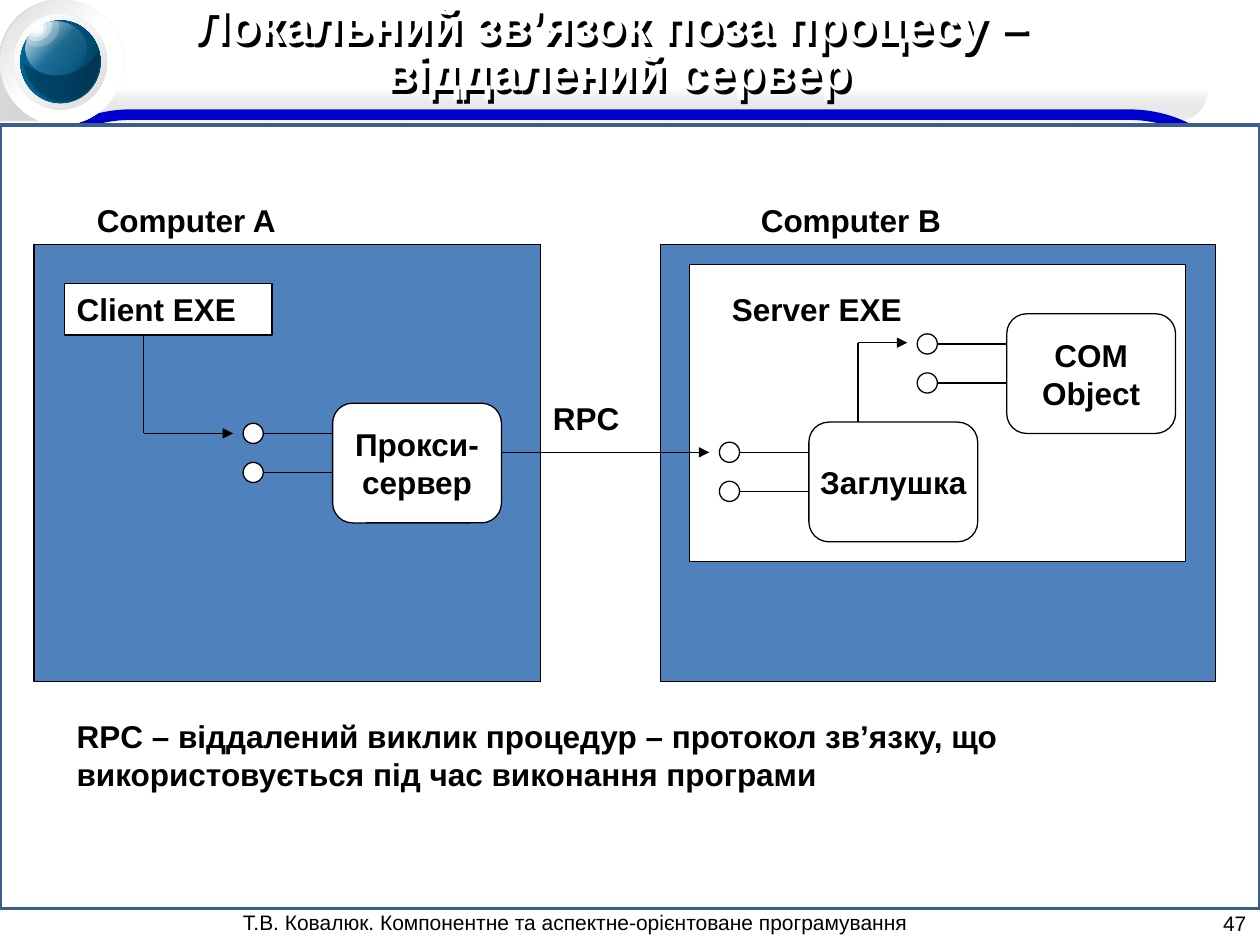
from lxml import etree
from pptx import Presentation
from pptx import util as u
from pptx.dml.color import RGBColor
from pptx.enum import shapes, text
from pptx.oxml import parse_xml
from pptx.oxml.ns import nsdecls, qn

HUE = {"white": "FFFFFF", "black": "000000", "blue": "4F81BD", "rule": "0000CC",
       "frame": "3A5F8C", "pale": "F2F2F2", "light": "D9D9D9", "grey": "B7B7B7",
       "deep": "003C5B", "mid": "005681", "sea": "006699"}
KIND = shapes.MSO_SHAPE
ALIGN = text.PP_ALIGN
MID = text.MSO_ANCHOR.MIDDLE

deck = Presentation()
deck.slide_width, deck.slide_height = u.Inches(10), u.Inches(7.5)
slide = deck.slides.add_slide(deck.slide_layouts[6])
items = slide.shapes


def draw(kind, box, stops=(), ang=0, line=None, width=0.75, adj=(), turn=0):
    """Add a shape; stops are (colour, opacity %), one for a plain fill."""
    item = items.add_shape(kind, *[u.Inches(v) for v in box])
    item.shadow.inherit = False
    item.rotation = turn
    for i, val in enumerate(adj):
        item.adjustments[i] = val
    item.fill.background()
    if stops:
        tints = [f'<a:srgbClr val="{HUE[c]}"><a:alpha val="{a * 1000}"/></a:srgbClr>'
                 for c, a in stops]
        if len(tints) == 1:
            xml = f'<a:solidFill {nsdecls("a")}>{tints[0]}</a:solidFill>'
        else:
            marks = "".join(f'<a:gs pos="{i * 50000}">{t}</a:gs>'
                            for i, t in enumerate(tints))
            xml = (f'<a:gradFill {nsdecls("a")} rotWithShape="1"><a:gsLst>{marks}'
                   f'</a:gsLst><a:lin ang="{ang * 60000}" scaled="0"/></a:gradFill>')
        props = item.element.spPr
        props.replace(props.find(qn("a:noFill")), parse_xml(xml))
    if line:
        item.line.color.rgb = RGBColor.from_string(HUE[line])
        item.line.width = u.Pt(width)
    else:
        item.line.fill.background()
    return item


def write(words, box=None, host=None, size=18, bold=True, tint="black",
          align=ALIGN.LEFT, anchor=text.MSO_ANCHOR.TOP, wrap=True, space=None):
    """Put text in a host shape or a new text box, one paragraph per line."""
    host = host or items.add_textbox(*[u.Inches(v) for v in box])
    frame = host.text_frame
    frame.word_wrap = wrap
    frame.vertical_anchor = anchor
    for i, part in enumerate(words.split("\n")):
        para = frame.add_paragraph() if i else frame.paragraphs[0]
        para.alignment = align
        para.line_spacing = space
        run = para.add_run()
        run.text = part
        run.font.size, run.font.bold, run.font.name = u.Pt(size), bold, "Arial"
        run.font.color.rgb = RGBColor.from_string(HUE[tint])
    return host


# Header bands and page frame
white = [("white", 100)]
draw(KIND.ROUND_2_DIAG_RECTANGLE, (0, 0.44, 9.58, 0.52),
     [("white", 0), ("grey", 0), ("pale", 100)], 90, adj=(0.5, 0))
draw(KIND.ROUND_2_DIAG_RECTANGLE, (0, 0, 1.27, 0.96),
     [("light", 100), ("grey", 0), ("light", 0)], adj=(0.5, 0))
draw(KIND.ROUNDED_RECTANGLE, (0, 0.91, 10, 6.22), line="rule", width=6)

# Glass ball
draw(KIND.CHORD, (0.06, 0.03, 0.91, 0.92),
     [("deep", 100), ("mid", 100), ("sea", 100)], 180, adj=(71.318, 44.49))
draw(KIND.DONUT, (0, 0, 0.98, 0.99),
     [("light", 100), ("white", 100), ("white", 100)], 45, adj=(0.14,))
draw(KIND.OVAL, (0.2, 0.17, 0.49, 0.43),
     [("white", 100), ("white", 12), ("white", 0)], 45)
draw(KIND.DONUT, (0.11, 0.11, 0.74, 0.76),
     [("light", 100), ("pale", 100), ("white", 100)], 225, adj=(0.06,))
for box, alpha, turn in [((0.19, 0.14, 0.29, 0.22), 20, 326.2),
                         ((0.21, 0.16, 0.22, 0.15), 39, 317.3),
                         ((0.25, 0.18, 0.1, 0.09), 81, 317.3),
                         ((0.23, 0.17, 0.15, 0.12), 39, 317.3)]:
    draw(KIND.OVAL, box, [("white", alpha)], turn=turn)
draw(KIND.MOON, (0.33, 0.32, 0.36, 0.61), [("black", 25)], adj=(0.59,), turn=261.4)

# Page body, footer and title with its hard shadow
draw(KIND.RECTANGLE, (0, 0.99, 10, 6.22), white, line="frame", width=2)
write("Т.В. Ковалюк. Компонентне та аспектне-орієнтоване програмування",
      (1.83, 7.17, 5.62, 0.3), size=12, bold=False, wrap=False)
write("47", (9.24, 7.18, 0.75, 0.29), size=12, bold=False,
      align=ALIGN.RIGHT, anchor=MID)
title = write("Локальний зв’язок поза процесу – \nвіддалений сервер",
              (0, 0, 9.81, 0.85), size=28, tint="white",
              align=ALIGN.CENTER, space=0.8)
title.element.spPr.append(parse_xml(
    f'<a:effectLst {nsdecls("a")}><a:outerShdw dist="36000" dir="2700000" '
    f'algn="ctr" rotWithShape="0"><a:srgbClr val="{HUE["black"]}"/>'
    '</a:outerShdw></a:effectLst>'))

# Computers and processes
for box in [(0.27, 1.94, 4.02, 3.47), (5.24, 1.94, 4.41, 3.47)]:
    draw(KIND.RECTANGLE, box, [("blue", 100)], line="black")
write("Computer A", (0.67, 1.55, 3.07, 0.4))
write("Computer В", (5.94, 1.55, 3.07, 0.4))
client = draw(KIND.RECTANGLE, (0.51, 2.25, 1.65, 0.41), white, line="black")
write("Client EXE", host=client)
draw(KIND.RECTANGLE, (5.47, 2.1, 3.94, 2.36), white, line="black")
write("Server EXE", (5.71, 2.25, 1.55, 0.4), wrap=False)

# Objects, each with two interface pins on its left
wires = []
for label, x, y in [("Прокси-\nсервер", 2.64, 3.2), ("Заглушка", 6.42, 3.35),
                    ("COM\nObject", 7.99, 2.49)]:
    body = draw(KIND.ROUNDED_RECTANGLE, (x, y, 1.34, 0.95), white, line="black")
    write(label, host=body, align=ALIGN.CENTER, anchor=MID, wrap=False)
    for drop in (0.24, 0.55):
        draw(KIND.OVAL, (x - 0.71, y + drop - 0.08, 0.16, 0.16), white, line="black")
        wires.append((x - 0.55, y + drop, x, y + drop, False))

# Wires and call arrows
wires += [(1.14, 2.65, 1.14, 3.44, False), (1.14, 3.44, 1.85, 3.44, True),
          (6.81, 3.35, 6.81, 2.72, False), (6.81, 2.72, 7.2, 2.72, True),
          (3.98, 3.59, 5.63, 3.59, True)]
for *ends, arrow in wires:
    wire = items.add_connector(shapes.MSO_CONNECTOR.STRAIGHT,
                               *[u.Inches(v) for v in ends])
    wire.line.color.rgb = RGBColor.from_string(HUE["black"])
    wire.line.width = u.Pt(0.75)
    if arrow:
        etree.SubElement(wire.line._get_or_add_ln(), qn("a:tailEnd"), type="triangle")
    etree.SubElement(wire.element.spPr, qn("a:effectLst"))

# Notes on the call
write("RPC", (4.29, 3.12, 0.73, 0.4), wrap=False)
write("RPC – віддалений виклик процедур – протокол зв’язку, що "
      "використовується під час виконання програми", (0.51, 5.64, 9.69, 0.7))

deck.save("out.pptx")
